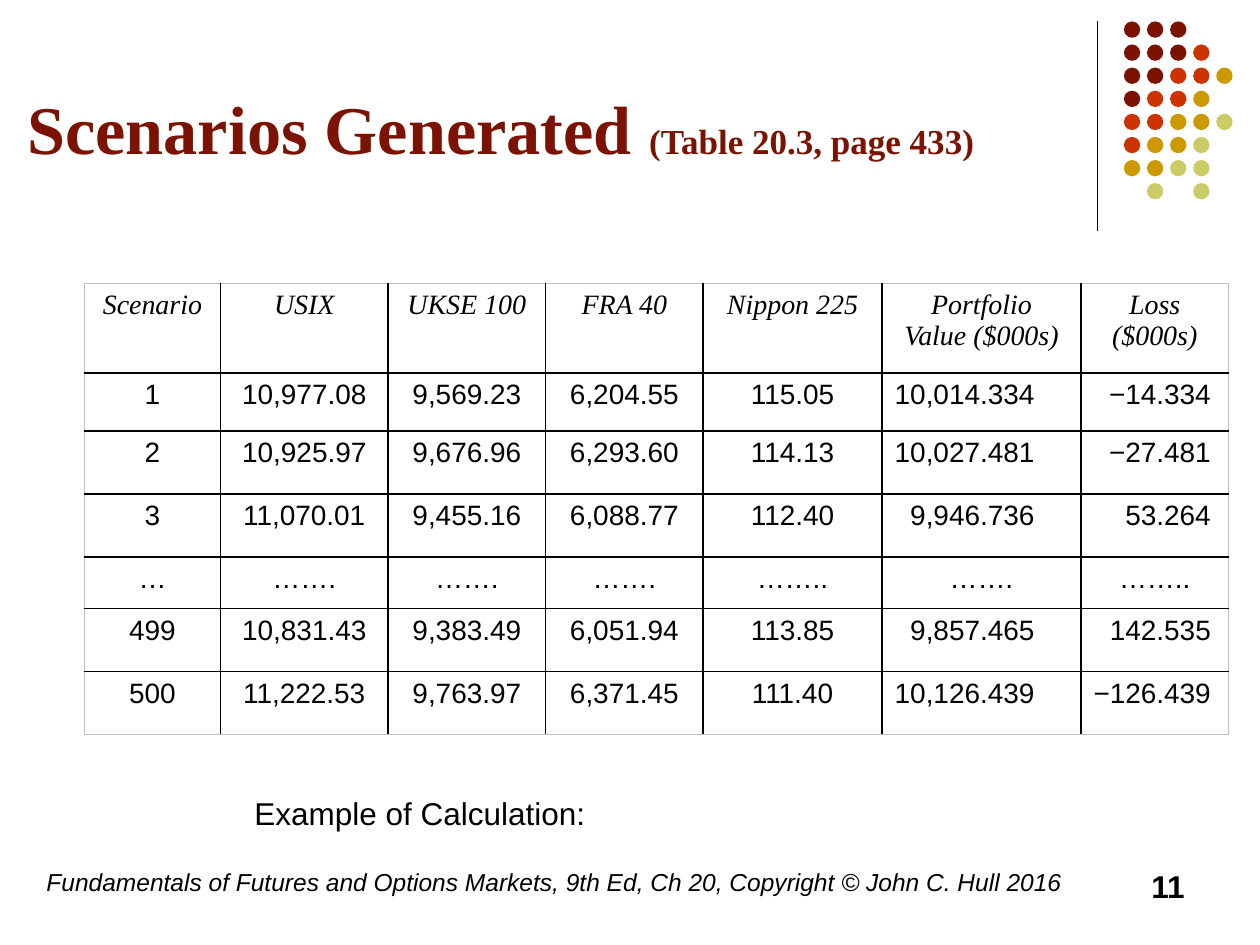
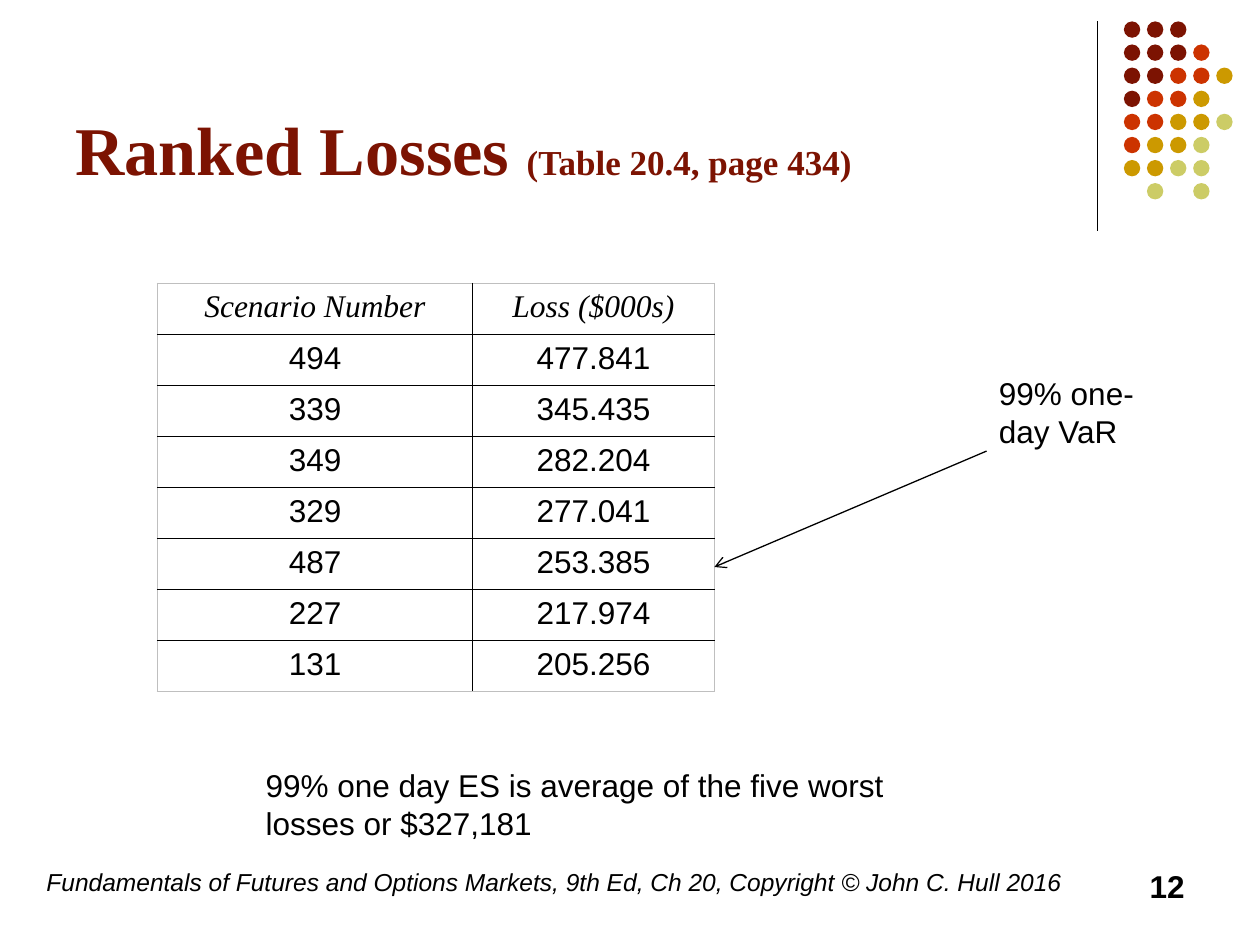
from dataclasses import dataclass

from lxml import etree
from pptx import Presentation
from pptx import util as u
from pptx.dml.color import RGBColor
from pptx.enum import shapes, text
from pptx.oxml.ns import qn

# Shared look
SANS, SERIF = "Arial", "Times New Roman"
BLACK, MAROON, EDGE_GREY = "000000", "7C1302", "BFBFBF"
DOT_COLORS = {"M": MAROON, "R": "CC3300", "G": "CC9900", "L": "CCCC66"}
DOT_ROWS = ("MMM", "MMMR", "MMRRG", "MRRG", "RRGGL", "RGGL", "GGLL", ".L.L")
DOT_PITCH = 0.55 / 3
DOT_SIZE = 0.13
FOOTER = ("Fundamentals of Futures and Options Markets, 9th Ed, Ch 20, "
          "Copyright © John C. Hull 2016")
LEFT, CENTER, RIGHT = text.PP_ALIGN.LEFT, text.PP_ALIGN.CENTER, text.PP_ALIGN.RIGHT
TOP, BOTTOM = text.MSO_ANCHOR.TOP, text.MSO_ANCHOR.BOTTOM


@dataclass(frozen=True)
class Box:
    left: float
    top: float
    width: float
    height: float

    def lengths(self) -> list:
        return [u.Inches(n) for n in (self.left, self.top, self.width, self.height)]


@dataclass(frozen=True)
class Heading:
    title: str
    reference: str
    box: Box
    page: int


@dataclass(frozen=True)
class Grid:
    left: float
    top: float
    columns: tuple
    row_heights: tuple
    size: int
    rows: tuple
    right_insets: dict  # column index -> right inset of right-aligned numbers


SCENARIOS = Grid(
    0.67, 2.25, (1.08, 1.33, 1.25, 1.25, 1.42, 1.58, 1.17),
    (0.71, 0.46, 0.5, 0.5, 0.41, 0.5, 0.5), 16,
    (
        ("Scenario", "USIX", "UKSE 100", "FRA 40", "Nippon 225",
         "Portfolio\nValue ($000s)", "Loss ($000s)"),
        ("1", "10,977.08", "9,569.23", "6,204.55", "115.05", "10,014.334", "−14.334"),
        ("2", "10,925.97", "9,676.96", "6,293.60", "114.13", "10,027.481", "−27.481"),
        ("3", "11,070.01", "9,455.16", "6,088.77", "112.40", "9,946.736", "53.264"),
        ("…", "…….", "…….", "…….", "……..", "…….", "…….."),
        ("499", "10,831.43", "9,383.49", "6,051.94", "113.85", "9,857.465", "142.535"),
        ("500", "11,222.53", "9,763.97", "6,371.45", "111.40", "10,126.439", "−126.439"),
    ),
    {5: 0.37, 6: 0.14},
)

RANKED_LOSSES = Grid(
    1.25, 2.25, (2.5, 1.92), (3.24 / 8,) * 8, 18,
    (
        ("Scenario Number", "Loss ($000s)"),
        ("494", "477.841"),
        ("339", "345.435"),
        ("349", "282.204"),
        ("329", "277.041"),
        ("487", "253.385"),
        ("227", "217.974"),
        ("131", "205.256"),
    ),
    {},
)


def color(hex_code: str) -> RGBColor:
    return RGBColor.from_string(hex_code)


def write(frame, words: str, *, size: int = 18, font: str = SANS, ink: str = BLACK,
          bold: bool = False, italic: bool = False, align=LEFT) -> None:
    """Continue the last paragraph; each newline starts another one."""
    for index, line in enumerate(words.split("\n")):
        paragraph = frame.add_paragraph() if index else frame.paragraphs[-1]
        paragraph.alignment = align
        run = paragraph.add_run()
        run.text = line
        run.font.name, run.font.size = font, u.Pt(size)
        run.font.bold, run.font.italic = bold, italic
        run.font.color.rgb = color(ink)


def add_frame(slide, box: Box, anchor=TOP):
    frame = slide.shapes.add_textbox(*box.lengths()).text_frame
    frame.word_wrap = True
    frame.vertical_anchor = anchor
    return frame


def add_line(slide, start: tuple, end: tuple, arrow: bool = False) -> None:
    points = [u.Inches(n) for n in (*start, *end)]
    connector = slide.shapes.add_connector(shapes.MSO_CONNECTOR.STRAIGHT, *points)
    connector.line.color.rgb = color(BLACK)
    connector.line.width = u.Pt(0.75)
    if arrow:
        etree.SubElement(connector.line._get_or_add_ln(), qn("a:tailEnd"), type="arrow")
    etree.SubElement(connector._element.spPr, qn("a:effectLst"))


def add_dots(slide) -> None:
    dots = slide.shapes.add_group_shape()
    for row, pattern in enumerate(DOT_ROWS):
        for column, key in enumerate(pattern):
            if key not in DOT_COLORS:
                continue
            place = Box(8.92 + column * DOT_PITCH, 0.17 + row * DOT_PITCH,
                        DOT_SIZE, DOT_SIZE)
            dot = dots.shapes.add_shape(shapes.MSO_SHAPE.OVAL, *place.lengths())
            dot.shadow.inherit = False
            dot.fill.solid()
            dot.fill.fore_color.rgb = color(DOT_COLORS[key])
            dot.line.fill.background()


def set_borders(cell, outer: dict) -> None:
    """Black inner rules, grey on the sides that lie on the table's edge."""
    properties = cell._tc.get_or_add_tcPr()
    for side, is_outer in outer.items():
        rule = etree.SubElement(properties, qn(f"a:ln{side}"), w=str(u.Pt(1)))
        fill = etree.SubElement(rule, qn("a:solidFill"))
        etree.SubElement(fill, qn("a:srgbClr"), val=EDGE_GREY if is_outer else BLACK)


def add_grid(slide, grid: Grid) -> None:
    last_row, last_column = len(grid.rows) - 1, len(grid.columns) - 1
    box = Box(grid.left, grid.top, sum(grid.columns), sum(grid.row_heights))
    table = slide.shapes.add_table(last_row + 1, last_column + 1, *box.lengths()).table
    table.first_row = table.horz_banding = False
    for column, width in zip(table.columns, grid.columns):
        column.width = u.Inches(width)
    for row, height in zip(table.rows, grid.row_heights):
        row.height = u.Inches(height)
    for r, entries in enumerate(grid.rows):
        for c, entry in enumerate(entries):
            cell = table.cell(r, c)
            set_borders(cell, {"L": c == 0, "R": c == last_column,
                               "T": r == 0, "B": r == last_row})
            cell.fill.background()
            header = r == 0
            flush_right = c in grid.right_insets and not header and "…" not in entry
            if flush_right:
                cell.margin_left = 0
                cell.margin_right = u.Inches(grid.right_insets[c])
            write(cell.text_frame, entry, size=grid.size, italic=header,
                  font=SERIF if header else SANS,
                  align=RIGHT if flush_right else CENTER)


def start_slide(deck, heading: Heading):
    slide = deck.slides.add_slide(deck.slide_layouts[6])
    # Corner decoration
    add_line(slide, (8.71, 0.17), (8.71, 1.83))
    add_dots(slide)
    # Title with its table reference
    title = add_frame(slide, heading.box, BOTTOM)
    write(title, heading.title + " ", size=39, font=SERIF, ink=MAROON, bold=True)
    write(title, heading.reference, size=20, font=SERIF, ink=MAROON, bold=True)
    # Footer and page number
    write(add_frame(slide, Box(0.27, 6.83, 8.27, 0.5)), FOOTER, size=14, italic=True)
    write(add_frame(slide, Box(7.17, 6.83, 2.33, 0.5)), str(heading.page),
          bold=True, align=RIGHT)
    return slide


def build_scenarios(deck) -> None:
    slide = start_slide(deck, Heading("Scenarios Generated", "(Table 20.3, page 433)",
                                      Box(0.12, 0.13, 8.5, 1.25), 11))
    add_grid(slide, SCENARIOS)
    write(add_frame(slide, Box(1.92, 6.25, 4.92, 0.4)), "Example of Calculation:")


def build_ranked_losses(deck) -> None:
    slide = start_slide(deck, Heading("Ranked Losses", "(Table 20.4, page 434)",
                                      Box(0.5, 0.13, 8.25, 1.42), 12))
    add_grid(slide, RANKED_LOSSES)
    # Value-at-risk callout pointing at the fifth worst loss
    write(add_frame(slide, Box(7.83, 2.92, 1.58, 0.71)), "99% one-day VaR")
    add_line(slide, (7.83, 3.58), (5.67, 4.5), arrow=True)
    write(add_frame(slide, Box(2.01, 6.03, 5.43, 0.71)),
          "99% one day ES is average of the five worst losses or $327,181")


def main() -> None:
    deck = Presentation()
    deck.slide_width, deck.slide_height = u.Inches(10), u.Inches(7.5)
    build_scenarios(deck)
    build_ranked_losses(deck)
    deck.save("out.pptx")


if __name__ == "__main__":
    main()
